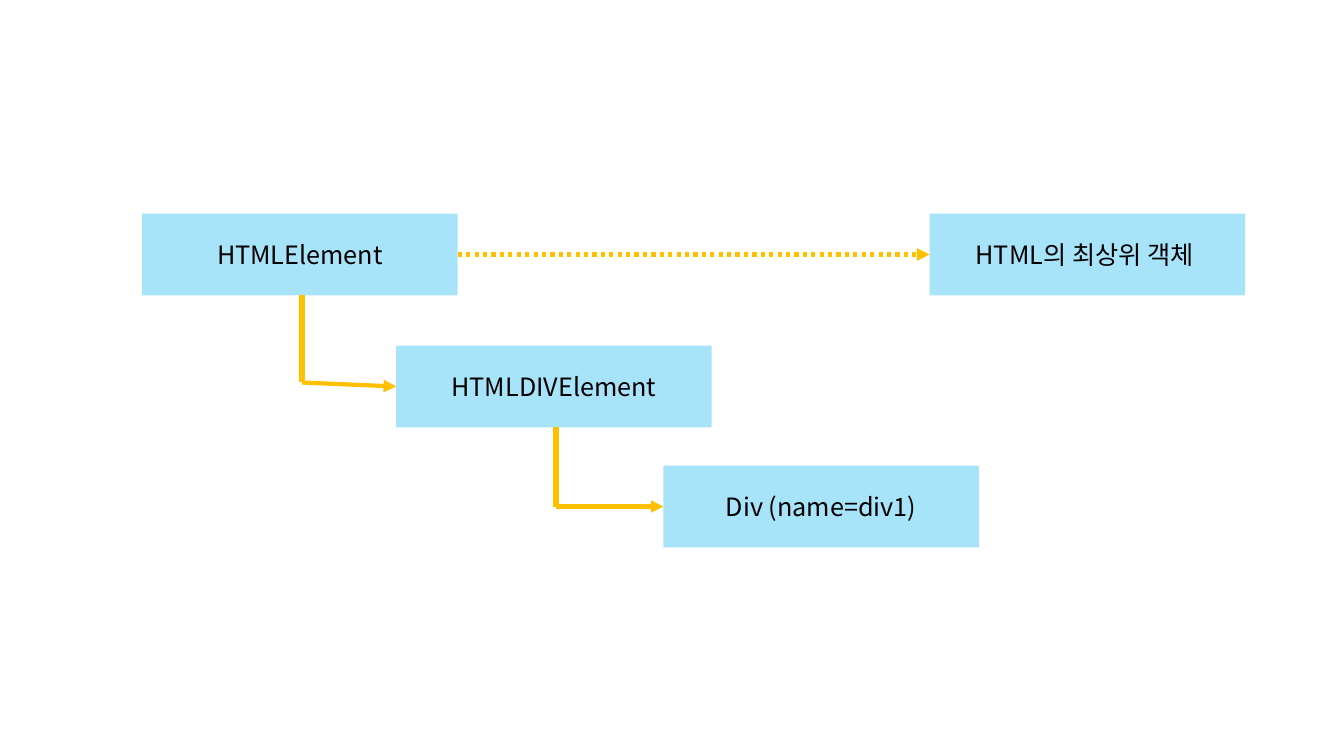
from dataclasses import dataclass

from lxml.etree import SubElement
from pptx import Presentation
from pptx.dml.color import RGBColor
from pptx.enum.dml import MSO_LINE
from pptx.enum.shapes import MSO_CONNECTOR, MSO_SHAPE
from pptx.enum.text import MSO_ANCHOR, PP_ALIGN
from pptx.oxml.ns import qn
from pptx.util import Inches, Pt


@dataclass(frozen=True)
class Theme:
    """Colours, font and sizes of the slide."""
    node: str = "00B0F0"
    node_alpha: int = 34
    link: str = "FFC000"
    text: str = "000000"
    font: str = "Noto Sans CJK KR"
    size: float = 18
    stem: float = 4.5
    arrow: float = 3


@dataclass(frozen=True)
class Box:
    """A rectangle in slide units."""
    x: float
    y: float
    w: float
    h: float

    def at(self, px, py):
        """Return the point at the given percentages of the box."""
        return self.x + self.w * px / 100, self.y + self.h * py / 100

    def inner(self, px, py, pw, ph):
        """Return the inner box at the given percentages."""
        return Box(*self.at(px, py), self.w * pw / 100, self.h * ph / 100)


THEME = Theme()
NODE_W, NODE_H = 23.48, 10.8
STEM_X = 50.6
CHAIN = [
    ("HTMLElement", 10.58, 28.27),
    ("HTMLDIVElement", 29.48, 45.73),
    ("Div (name=div1)", 49.36, 61.6),
]
NOTE = ("HTML의 최상위 객체 ", 69.17, 28.27)
ELBOW_RISES = [0.04, 0]


def add_text(tf, text, *, size=THEME.size, color=THEME.text, font=THEME.font,
             align=PP_ALIGN.CENTER, anchor=MSO_ANCHOR.MIDDLE):
    """Write one formatted paragraph into a text frame."""
    tf.word_wrap = True
    tf.vertical_anchor = anchor
    p = tf.paragraphs[0]
    p.alignment = align
    r = p.add_run()
    r.text = text
    r.font.size = Pt(size)
    r.font.name = font
    r.font.color.rgb = RGBColor.from_string(color)
    SubElement(r.font._element, qn("a:ea"), typeface=font)


def add_node(s, box, text):
    """Draw a translucent labelled rectangle filling the box."""
    sp = s.shapes.add_shape(MSO_SHAPE.RECTANGLE,
                            *(int(v) for v in (box.x, box.y, box.w, box.h)))
    sp.shadow.inherit = False
    sp.fill.solid()
    sp.fill.fore_color.rgb = RGBColor.from_string(THEME.node)
    color = sp._element.spPr.find(qn("a:solidFill"))[0]
    SubElement(color, qn("a:alpha"), val=str(THEME.node_alpha * 1000))
    sp.line.fill.background()
    add_text(sp.text_frame, text)


def add_link(s, start, end, *, width=THEME.arrow, dash=None, arrow=True):
    """Draw a straight line between two points."""
    cx = s.shapes.add_connector(MSO_CONNECTOR.STRAIGHT,
                                *(int(v) for v in (*start, *end)))
    cx.line.color.rgb = RGBColor.from_string(THEME.link)
    cx.line.width = Pt(width)
    if dash:
        cx.line.dash_style = dash
    if arrow:
        SubElement(cx._element.spPr.find(qn("a:ln")), qn("a:tailEnd"),
                   type="triangle")
    SubElement(cx._element.spPr, qn("a:effectLst"))


def add_elbow(s, parent, child, rise):
    """Link a parent down and across to its child."""
    top = parent.at(STEM_X, 100)
    end = child.at(0, 50)
    corner = top[0], end[1] - Inches(rise)
    add_link(s, top, corner, width=THEME.stem, arrow=False)
    add_link(s, corner, end)


def add_hierarchy(s, area):
    """Draw the element chain and its note inside the area."""
    nodes = []
    for text, px, py in [*CHAIN, NOTE]:
        box = area.inner(px, py, NODE_W, NODE_H)
        add_node(s, box, text)
        nodes.append(box)
    *chain, note = nodes
    add_link(s, chain[0].at(100, 50), note.at(0, 50),
             dash=MSO_LINE.ROUND_DOT)
    for parent, child, rise in zip(chain, chain[1:], ELBOW_RISES):
        add_elbow(s, parent, child, rise)


def main():
    """Build and save the presentation."""
    prs = Presentation()
    prs.slide_width, prs.slide_height = Inches(13.33), Inches(7.5)
    s = prs.slides.add_slide(prs.slide_layouts[6])
    add_hierarchy(s, Box(0, 0, prs.slide_width, prs.slide_height))
    prs.save("out.pptx")


if __name__ == "__main__":
    main()
